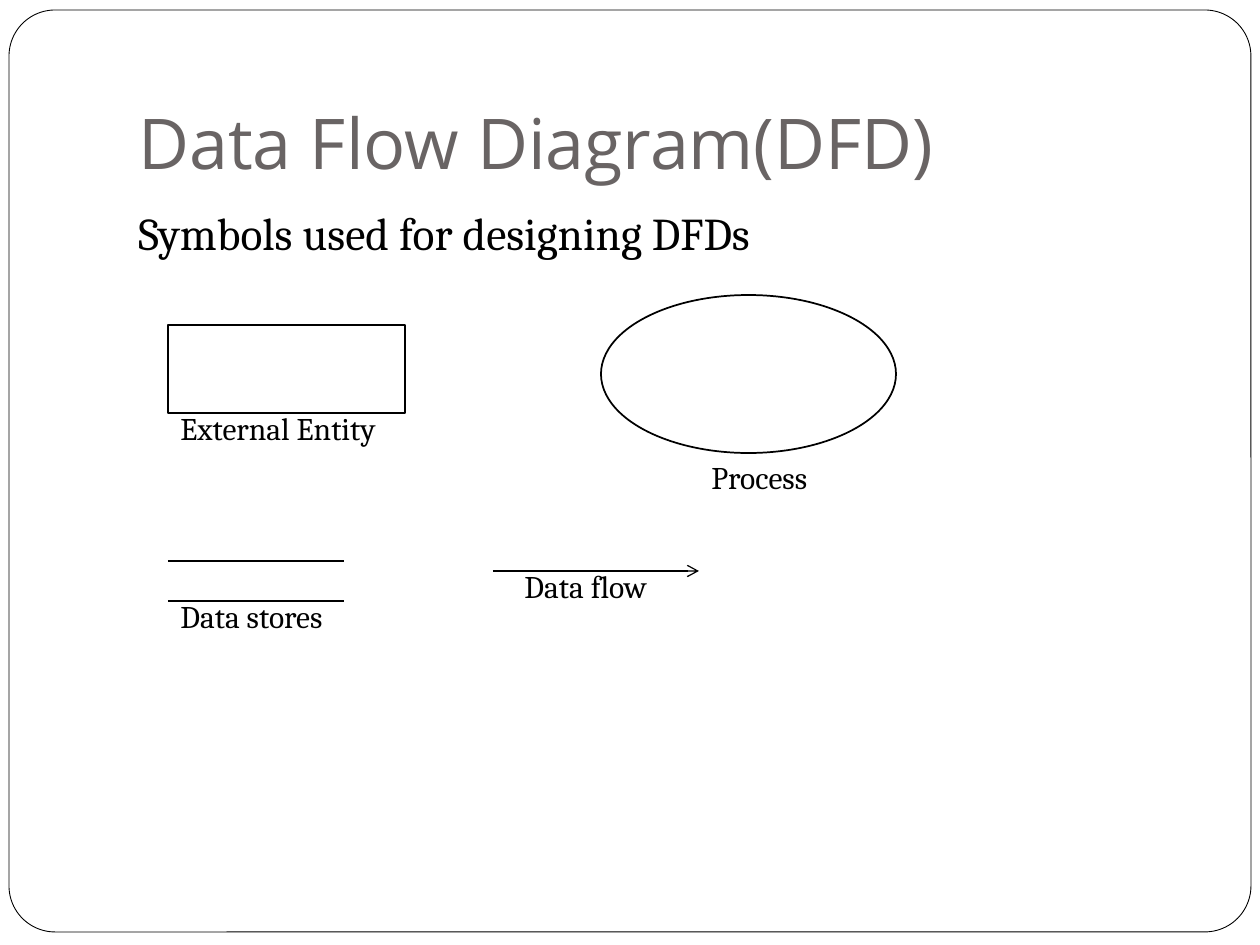
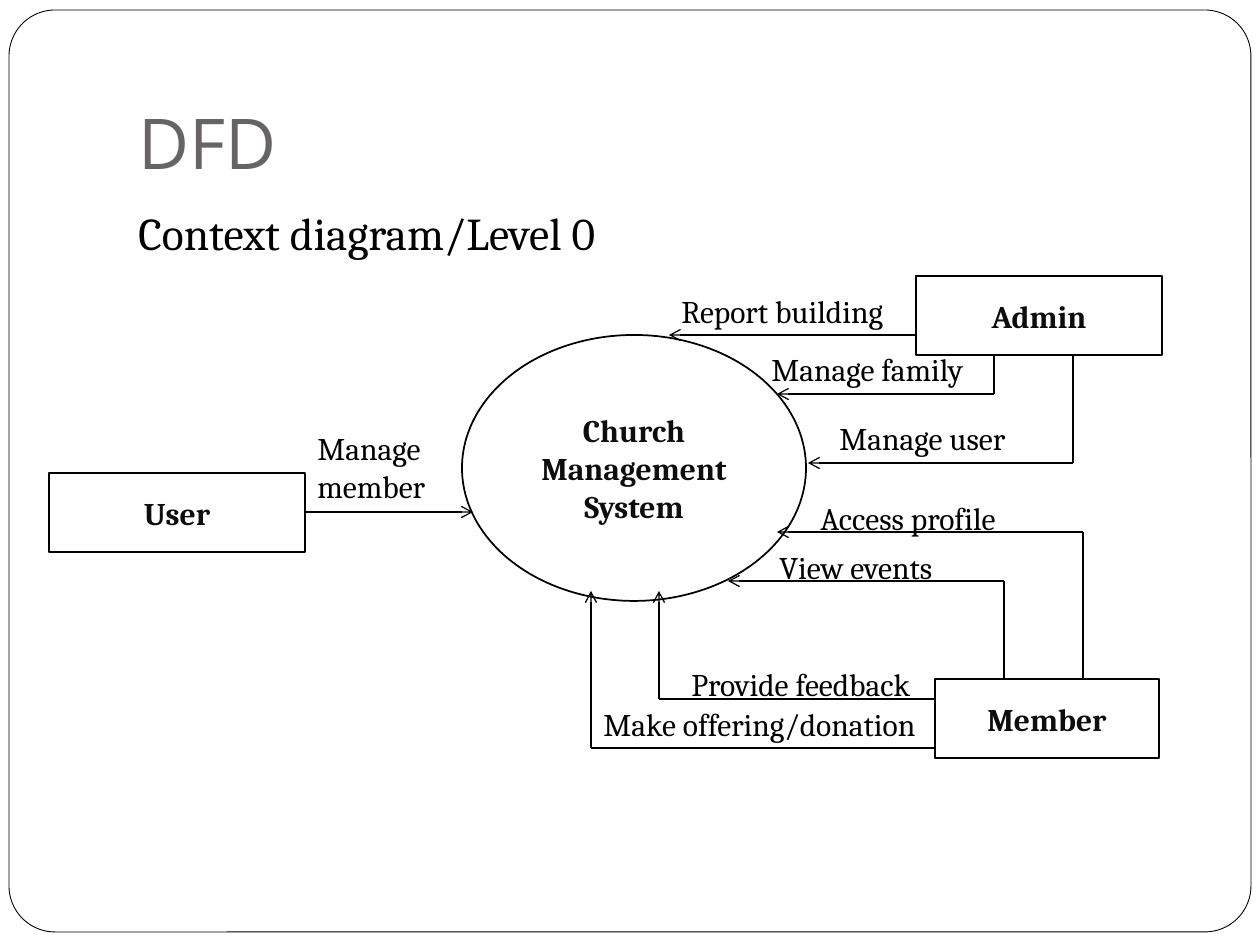
from itertools import pairwise
from lxml import etree
from pptx import Presentation
from pptx.dml.color import RGBColor
from pptx.enum.shapes import MSO_CONNECTOR, MSO_SHAPE
from pptx.enum.text import MSO_ANCHOR, PP_ALIGN
from pptx.oxml.ns import qn
from pptx.util import Pt

RECT, OVAL, ROUND = MSO_SHAPE.RECTANGLE, MSO_SHAPE.OVAL, MSO_SHAPE.ROUNDED_RECTANGLE
LINE = MSO_CONNECTOR.STRAIGHT
TOP, MIDDLE, BOTTOM = MSO_ANCHOR.TOP, MSO_ANCHOR.MIDDLE, MSO_ANCHOR.BOTTOM
CENTER = PP_ALIGN.CENTER

BLACK = RGBColor(0x00, 0x00, 0x00)
WHITE = RGBColor(0xFF, 0xFF, 0xFF)
INK = RGBColor(0x0D, 0x0D, 0x0D)
GRAY = RGBColor(0x69, 0x64, 0x64)
HEAD, BODY = "Open Sans", "Cambria"
SCALE = 914400 / 126
ROW = 50  # height of a one-line label

# Content: nodes are (shape, text, box), labels (text, left, top, width, height),
# lines plain strokes, flows routes that end in an arrow
SLIDES = [
    {
        "title": "Data Flow Diagram(DFD)",
        "lead": "Symbols used for designing DFDs",
        "nodes": [
            (RECT, "", (168, 325, 237, 88)),
            (OVAL, "", (601, 295, 295, 158)),
        ],
        "lines": [
            [(168, 561), (344, 561)],
            [(168, 601), (344, 601)],
        ],
        "flows": [[(493, 571), (699, 571)]],
        "labels": [
            ("External Entity", 168, 403, 229, ROW),
            ("Process", 699, 452, 130, ROW),
            ("Data stores", 168, 591, 178, ROW),
            ("Data flow", 512, 561, 155, ROW),
        ],
    },
    {
        "title": "DFD",
        "lead": "Context diagram/Level 0",
        "nodes": [
            (RECT, "User", (49, 473, 256, 79)),
            (RECT, "Member", (935, 679, 224, 79)),
            (RECT, "Admin", (916, 276, 246, 79)),
            (OVAL, "Church Management System", (462, 335, 344, 266)),
        ],
        "lines": [],
        "flows": [
            [(305, 512), (473, 512)],
            [(916, 335), (669, 335)],
            [(994, 354), (994, 394), (777, 394)],
            [(1073, 354), (1073, 463), (808, 463)],
            [(1083, 679), (1083, 532), (777, 532)],
            [(1004, 679), (1004, 581), (728, 581)],
            [(935, 699), (659, 699), (659, 591)],
            [(935, 748), (591, 748), (591, 591)],
        ],
        "labels": [
            ("Manage member", 305, 423, 186, 89),
            ("Report building", 669, 286, 246, ROW),
            ("Manage family", 759, 344, 222, ROW),
            ("Manage user", 827, 413, 198, ROW),
            ("Access profile", 808, 493, 213, ROW),
            ("View events", 767, 542, 189, ROW),
            ("Provide feedback", 679, 659, 260, ROW),
            ("Make offering/donation", 591, 699, 354, ROW),
        ],
    },
]


def emu(*sizes):
    return [round(size * SCALE) for size in sizes]


def write(frame, text, size, color, font=BODY, bold=False, anchor=TOP):
    frame.text = text
    frame.word_wrap = True
    frame.vertical_anchor = anchor
    for run in frame.paragraphs[0].runs:
        run.font.name, run.font.size = font, Pt(size)
        run.font.color.rgb, run.font.bold = color, bold


def add_text(slide, box, text, size, color, **style):
    frame = slide.shapes.add_textbox(*emu(*box)).text_frame
    write(frame, text, size, color, **style)
    return frame


def add_node(slide, kind, box, width):
    node = slide.shapes.add_shape(kind, *emu(*box))
    node.shadow.inherit = False
    node.fill.solid()
    node.fill.fore_color.rgb = WHITE
    node.line.color.rgb = BLACK
    node.line.width = Pt(width)
    return node


def add_route(slide, points, arrow):
    for start, end in pairwise(points):
        line = slide.shapes.add_connector(LINE, *emu(*start, *end))
        line.line.color.rgb = BLACK
        line.line.width = Pt(0.75)
        props = line.element.spPr
        etree.SubElement(props, qn("a:effectLst"))
        if arrow and end == points[-1]:
            etree.SubElement(props.find(qn("a:ln")), qn("a:tailEnd"), type="arrow")


def add_base(deck, title, lead):
    slide = deck.slides.add_slide(deck.slide_layouts[6])
    add_node(slide, ROUND, (9, 10, 1242, 922), 0.5).adjustments[0] = 0.05
    head = add_text(slide, (126, 38, 1071, 158), title, 40, GRAY,
                    font=HEAD, anchor=BOTTOM)
    head.margin_bottom = emu(12.6)[0]
    body = add_text(slide, (126, 199, 1071, 630), lead, 26, BLACK)
    body.paragraphs[0].space_before = Pt(5.8)
    return slide


deck = Presentation()
deck.slide_width, deck.slide_height = emu(1260, 945)

for page in SLIDES:
    slide = add_base(deck, page["title"], page["lead"])
    # Entities, processes
    for kind, text, box in page["nodes"]:
        node = add_node(slide, kind, box, 1)
        if text:
            write(node.text_frame, text, 18, INK, bold=True, anchor=MIDDLE)
            node.text_frame.paragraphs[0].alignment = CENTER
    # Stores and flows
    for points in page["lines"]:
        add_route(slide, points, False)
    for points in page["flows"]:
        add_route(slide, points, True)
    # Captions
    for text, *box in page["labels"]:
        add_text(slide, box, text, 18, BLACK)

deck.save("out.pptx")
